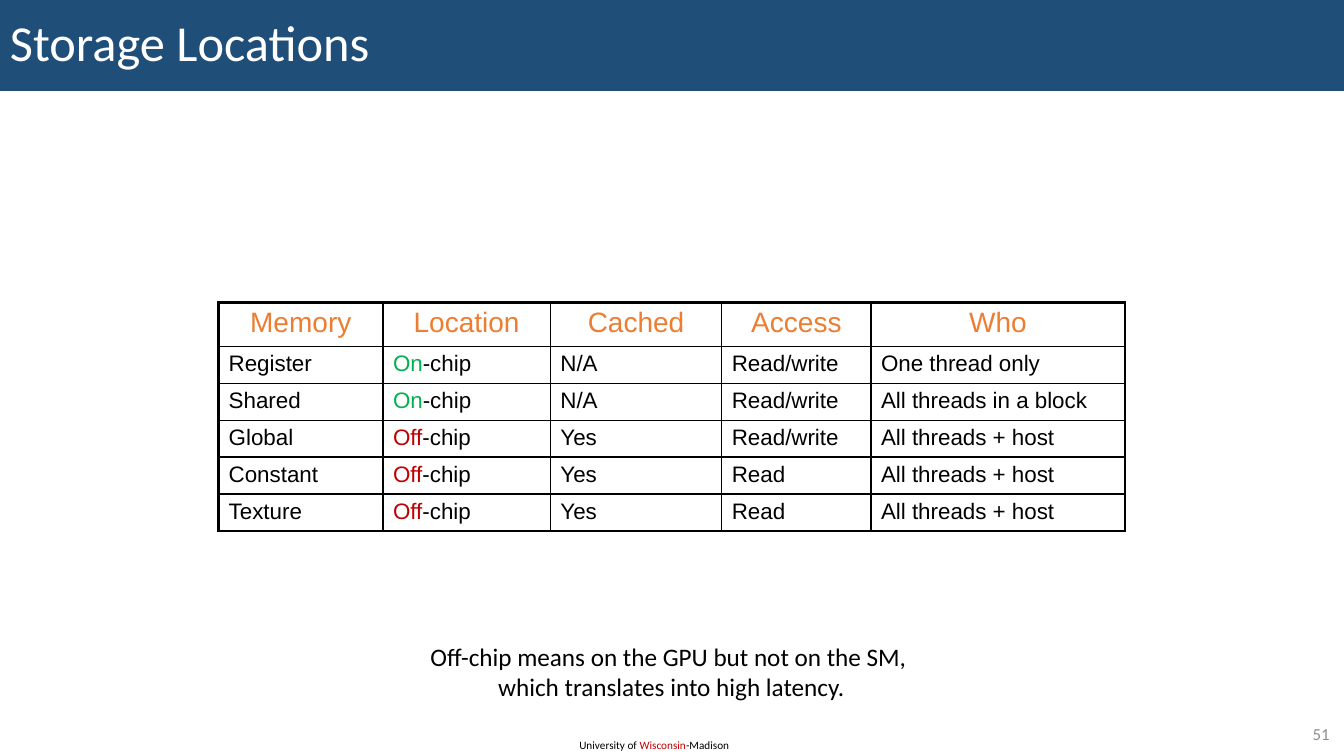
import dataclasses

import lxml.etree
import pptx
import pptx.dml.color
import pptx.enum.shapes
import pptx.enum.text
import pptx.oxml.ns
import pptx.util

Cm = pptx.util.Cm
Pt = pptx.util.Pt
RGB = pptx.dml.color.RGBColor.from_string
ALIGN = pptx.enum.text.PP_ALIGN
ANCHOR = pptx.enum.text.MSO_ANCHOR
qn = pptx.oxml.ns.qn


@dataclasses.dataclass(frozen=True)
class Theme:
    """Colours, fonts, type sizes and line widths of the slide."""
    ink: str = "000000"
    paper: str = "FFFFFF"
    banner: str = "1F4E79"
    heading: str = "ED7D31"
    good: str = "00B050"
    bad: str = "C00000"
    muted: str = "8C8C8C"
    body_font: str = "Calibri"
    table_font: str = "Arial"
    title_size: float = 36
    heading_size: float = 20
    note_size: float = 18
    cell_size: float = 16
    number_size: float = 12
    footer_size: float = 8
    thin: float = 1
    thick: float = 2.25


def write(tf, text, font, size, color, align=ALIGN.LEFT, anchor=ANCHOR.TOP, spacing=None):
    """Write a string, or a list of (text, colour) runs, breaking lines at newlines."""
    tf.word_wrap = True
    tf.vertical_anchor = anchor
    p = tf.paragraphs[0]
    p.alignment = align
    p.line_spacing = spacing
    runs = [(text, color)] if isinstance(text, str) else text
    for part, part_color in runs:
        for i, line in enumerate(part.split("\n")):
            if i:
                p.add_line_break()
            r = p.add_run()
            r.text = line
            r.font.name = font
            r.font.size = Pt(size)
            r.font.color.rgb = RGB(part_color)


class SlideBuilder:
    """Adds styled elements to one slide."""

    def __init__(self, s, theme):
        """Keep the slide and its theme."""
        self.s = s
        self.theme = theme

    def banner(self, text, width, height):
        """Add the title bar across the top."""
        t = self.theme
        sp = self.s.shapes.add_shape(
            pptx.enum.shapes.MSO_SHAPE.RECTANGLE, 0, 0, width, height)
        sp.shadow.inherit = False
        sp.fill.solid()
        sp.fill.fore_color.rgb = RGB(t.banner)
        sp.line.fill.background()
        write(sp.text_frame, text, t.body_font, t.title_size, t.paper,
              anchor=ANCHOR.MIDDLE, spacing=0.9)

    def text(self, text, box, size, color, **fmt):
        """Add a text box at (left, top, width, height) in centimetres."""
        sp = self.s.shapes.add_textbox(*map(Cm, box))
        write(sp.text_frame, text, self.theme.body_font, size, color, **fmt)

    def border(self, cell, side, width):
        """Draw one side of a table cell."""
        ln = lxml.etree.SubElement(cell._tc.get_or_add_tcPr(), qn(f"a:ln{side}"), w=str(Pt(width)))
        fill = lxml.etree.SubElement(ln, qn("a:solidFill"))
        lxml.etree.SubElement(fill, qn("a:srgbClr"), val=self.theme.ink)

    def table(self, rows, left, top, widths, heights):
        """Add a ruled table with a thick frame and a coloured heading row."""
        t = self.theme
        last_row, last_col = len(heights) - 1, len(widths) - 1
        table = self.s.shapes.add_table(
            len(heights), len(widths), Cm(left), Cm(top),
            Cm(sum(widths)), Cm(sum(heights))).table
        table.first_row = table.horz_banding = False
        for col, width in zip(table.columns, widths):
            col.width = Cm(width)
        for row, height in zip(table.rows, heights):
            row.height = Cm(height)
        for i, row in enumerate(rows):
            for j, text in enumerate(row):
                cell = table.cell(i, j)
                outer = {"L": j == 0, "R": j == last_col, "T": i == 0, "B": i == last_row}
                for side, framed in outer.items():
                    self.border(cell, side, t.thick if framed else t.thin)
                cell.fill.background()
                if i == 0:
                    write(cell.text_frame, text, t.table_font, t.heading_size,
                          t.heading, align=ALIGN.CENTER)
                else:
                    write(cell.text_frame, text, t.table_font, t.cell_size, t.ink)


def main():
    """Build the slide and save it."""
    prs = pptx.Presentation()
    prs.slide_width, prs.slide_height = Cm(33.87), Cm(19.05)
    t = Theme()
    b = SlideBuilder(prs.slides.add_slide(prs.slide_layouts[6]), t)

    on_chip = [("On", t.good), ("-chip", t.ink)]
    off_chip = [("Off", t.bad), ("-chip", t.ink)]
    rows = [
        ("Memory", "Location", "Cached", "Access", "Who"),
        ("Register", on_chip, "N/A", "Read/write", "One thread only"),
        ("Shared", on_chip, "N/A", "Read/write", "All threads in a block"),
        ("Global", off_chip, "Yes", "Read/write", "All threads + host"),
        ("Constant", off_chip, "Yes", "Read", "All threads + host"),
        ("Texture", off_chip, "Yes", "Read", "All threads + host"),
    ]

    b.text([("University of ", t.ink), ("Wisconsin", t.bad), ("-Madison", t.ink)],
           (14.35, 18.49, 4.37, 0.6), t.footer_size, t.ink)
    b.banner("Storage Locations", prs.slide_width, Cm(2.29))
    b.text("51", (31.83, 18.11, 1.93, 0.74), t.number_size, t.muted,
           align=ALIGN.RIGHT, anchor=ANCHOR.MIDDLE)
    b.table(rows, 5.51, 7.62, [4.14, 4.22, 4.32, 3.76, 6.4], [1.09] + [0.88] * 5)
    b.text("Off-chip means on the GPU but not on the SM, \nwhich translates into high latency.",
           (8.26, 16.03, 17.32, 1.8), t.note_size, t.ink, align=ALIGN.CENTER)
    prs.save("out.pptx")


if __name__ == "__main__":
    main()
